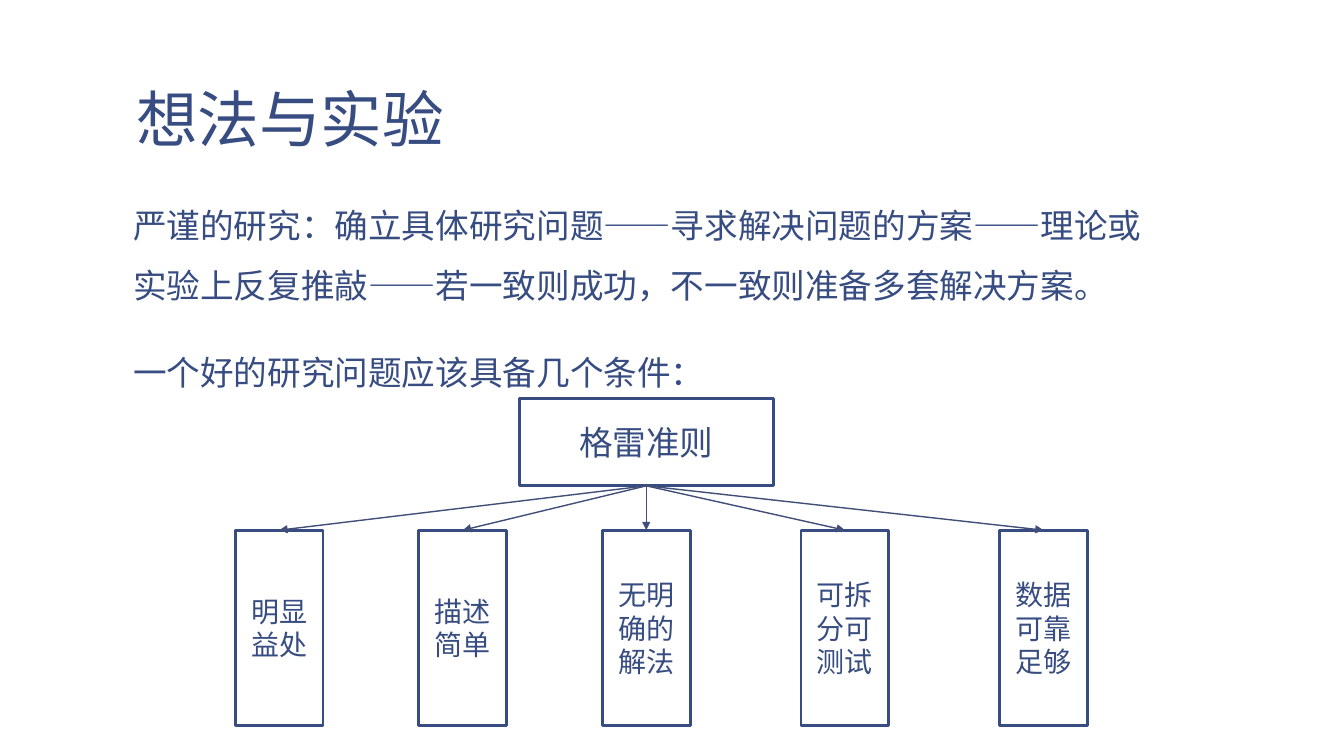
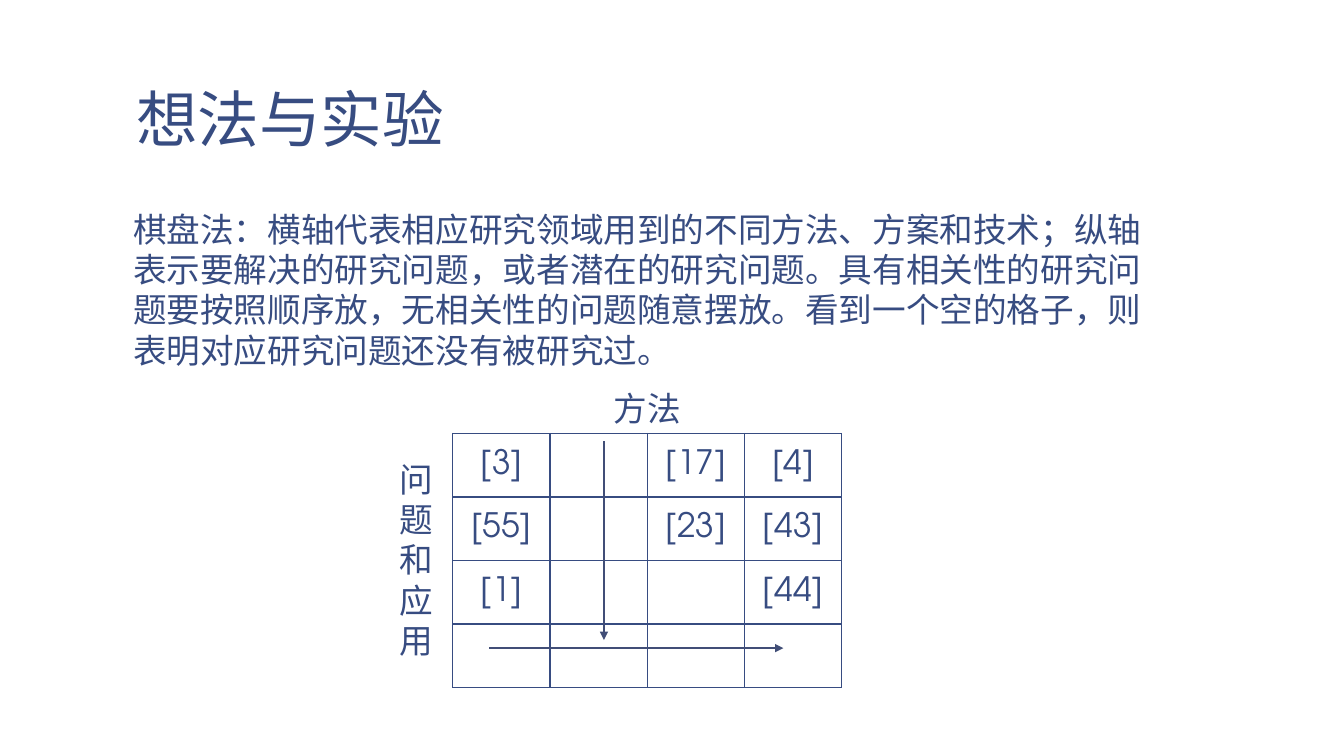
from pptx import Presentation
from pptx.dml.color import RGBColor
from pptx.enum.shapes import MSO_CONNECTOR as Connector, MSO_SHAPE as Shape
from pptx.enum.text import MSO_ANCHOR as Anchor, MSO_AUTO_SIZE as AutoSize, PP_ALIGN as Align
from pptx.oxml.ns import qn
from pptx.oxml.xmlchemy import OxmlElement
from pptx.util import Inches, Pt

# Shared style
BLUE = "374C81"
ARROW_BLUE = "414E77"
CJK_FONT = "Noto Sans CJK SC"
NUMBER_FONT = "TeX Gyre Adventor"
TITLE = "想法与实验"

# Slide content
RESEARCH = [
    "严谨的研究：确立具体研究问题——寻求解决问题的方案——理论或实验上反复推敲——"
    "若一致则成功，不一致则准备多套解决方案。",
    "一个好的研究问题应该具备几个条件：",
]
CRITERIA = [
    ("明显益处", 2.77),
    ("描述简单", 4.59),
    ("无明确的解法", 6.41),
    ("可拆分可测试", 8.38),
    ("数据可靠足够", 10.35),
]
CHESSBOARD = [
    "棋盘法：横轴代表相应研究领域用到的不同方法、方案和技术；纵轴表示要解决的研究问题，"
    "或者潜在的研究问题。具有相关性的研究问题要按照顺序放，无相关性的问题随意摆放。"
    "看到一个空的格子，则表明对应研究问题还没有被研究过。",
]
REFERENCES = [
    ["[3]", "", "[17]", "[4]"],
    ["[55]", "", "[23]", "[43]"],
    ["[1]", "", "", "[44]"],
    ["", "", "", ""],
]


def color(hex_code):
    return RGBColor.from_string(hex_code)


def place(shape, left, top, width, height):
    shape.left, shape.top = Inches(left), Inches(top)
    shape.width, shape.height = Inches(width), Inches(height)


def format_text(frame, size, align=Align.LEFT, font=CJK_FONT):
    for para in frame.paragraphs:
        para.alignment = align
        for span in para.runs:
            span.font.size = Pt(size)
            span.font.name = font
            span.font.color.rgb = color(BLUE)
            east_asian = OxmlElement("a:ea")
            east_asian.set("typeface", font)
            span.font._element.find(qn("a:latin")).addnext(east_asian)


def add_page(deck, paragraphs, top, height, line_spacing):
    """Add a slide with the shared title and an unbulleted body."""
    page = deck.slides.add_slide(deck.slide_layouts[1])
    title, body = page.placeholders
    place(title, 1.22, 0.08, 11.11, 1.53)
    frame = title.text_frame
    frame.text = TITLE
    frame.auto_size = AutoSize.NONE
    frame.vertical_anchor = Anchor.BOTTOM
    frame.margin_left = frame.margin_right = Inches(0.13)
    frame.margin_top = frame.margin_bottom = Inches(0.07)
    frame.paragraphs[0].line_spacing = 0.85
    format_text(frame, 44)

    place(body, 1.22, top, 10.4, height)
    frame = body.text_frame
    frame.text = "\n".join(paragraphs)
    frame.auto_size = AutoSize.NONE
    for para in frame.paragraphs:
        para.line_spacing = line_spacing
        para.space_before = Pt(18.7)
        properties = para._element.get_or_add_pPr()
        properties.set("marL", "0")
        properties.set("indent", "0")
        properties.append(OxmlElement("a:buNone"))
    format_text(frame, 24)
    return page


def add_box(page, text, size, left, top, width, height):
    box = page.shapes.add_shape(
        Shape.RECTANGLE, Inches(left), Inches(top), Inches(width), Inches(height))
    box.shadow.inherit = False
    box.fill.background()
    box.line.color.rgb = color(BLUE)
    box.line.width = Pt(2)
    box.text_frame.text = text
    box.text_frame.vertical_anchor = Anchor.MIDDLE
    format_text(box.text_frame, size, Align.CENTER)
    return box


def add_label(page, text, left, top, width, height, wrap):
    label = page.shapes.add_textbox(
        Inches(left), Inches(top), Inches(width), Inches(height))
    label.text_frame.word_wrap = wrap
    label.text_frame.auto_size = AutoSize.SHAPE_TO_FIT_TEXT
    label.text_frame.text = text
    format_text(label.text_frame, 24)


def add_arrow(page, start, end, width):
    arrow = page.shapes.add_connector(
        Connector.STRAIGHT, *(Inches(value) for value in (*start, *end)))
    arrow.line.color.rgb = color(ARROW_BLUE)
    arrow.line.width = Pt(width)
    head = OxmlElement("a:tailEnd")
    head.set("type", "triangle")
    properties = arrow._element.spPr
    properties.find(qn("a:ln")).append(head)
    properties.append(OxmlElement("a:effectLst"))
    return arrow


def set_borders(cell):
    properties = cell._tc.get_or_add_tcPr()
    for index, side in enumerate(("a:lnL", "a:lnR", "a:lnT", "a:lnB")):
        border = OxmlElement(side)
        border.set("w", str(Pt(1)))
        fill = OxmlElement("a:solidFill")
        shade = OxmlElement("a:srgbClr")
        shade.set("val", BLUE)
        fill.append(shade)
        border.append(fill)
        properties.insert(index, border)


def add_grid(page, rows, left, top, width, height):
    table = page.shapes.add_table(
        len(rows), len(rows[0]),
        Inches(left), Inches(top), Inches(width), Inches(height)).table
    table.first_row = table.horz_banding = False
    for row, texts in enumerate(rows):
        for column, text in enumerate(texts):
            cell = table.cell(row, column)
            cell.text = text
            cell.vertical_anchor = Anchor.MIDDLE
            cell.fill.background()
            set_borders(cell)
            format_text(cell.text_frame, 24, Align.CENTER, NUMBER_FONT)


def build_criteria(deck):
    page = add_page(deck, RESEARCH, 1.78, 1.97, 1.5)
    root_left, root_top, root_width, root_height = 5.15, 3.95, 2.52, 0.87
    root = add_box(page, "格雷准则", 24, root_left, root_top, root_width, root_height)
    root_end = (root_left + root_width / 2, root_top + root_height)
    box_top, box_width = 5.26, 0.87
    for text, center in CRITERIA:
        box = add_box(page, text, 20, center - box_width / 2, box_top, box_width, 1.94)
        arrow = add_arrow(page, root_end, (center, box_top), 1)
        arrow.begin_connect(root, 2)
        arrow.end_connect(box, 0)


def build_chessboard(deck):
    page = add_page(deck, CHESSBOARD, 2.02, 1.65, 1.0)
    add_grid(page, REFERENCES, 4.49, 4.3, 3.86, 2.52)
    # Axis labels
    add_label(page, "方法", 5.99, 3.8, 0.88, 0.5, False)
    add_label(page, "问题和应用", 3.86, 4.5, 0.63, 2.12, True)
    # Arrows along the empty column and row
    add_arrow(page, (5.99, 4.38), (5.99, 6.35), 1.5)
    add_arrow(page, (4.85, 6.43), (7.77, 6.43), 1.5)


def main():
    deck = Presentation()
    deck.slide_width, deck.slide_height = Inches(13.33), Inches(7.5)
    build_criteria(deck)
    build_chessboard(deck)
    deck.save("out.pptx")


if __name__ == "__main__":
    main()
